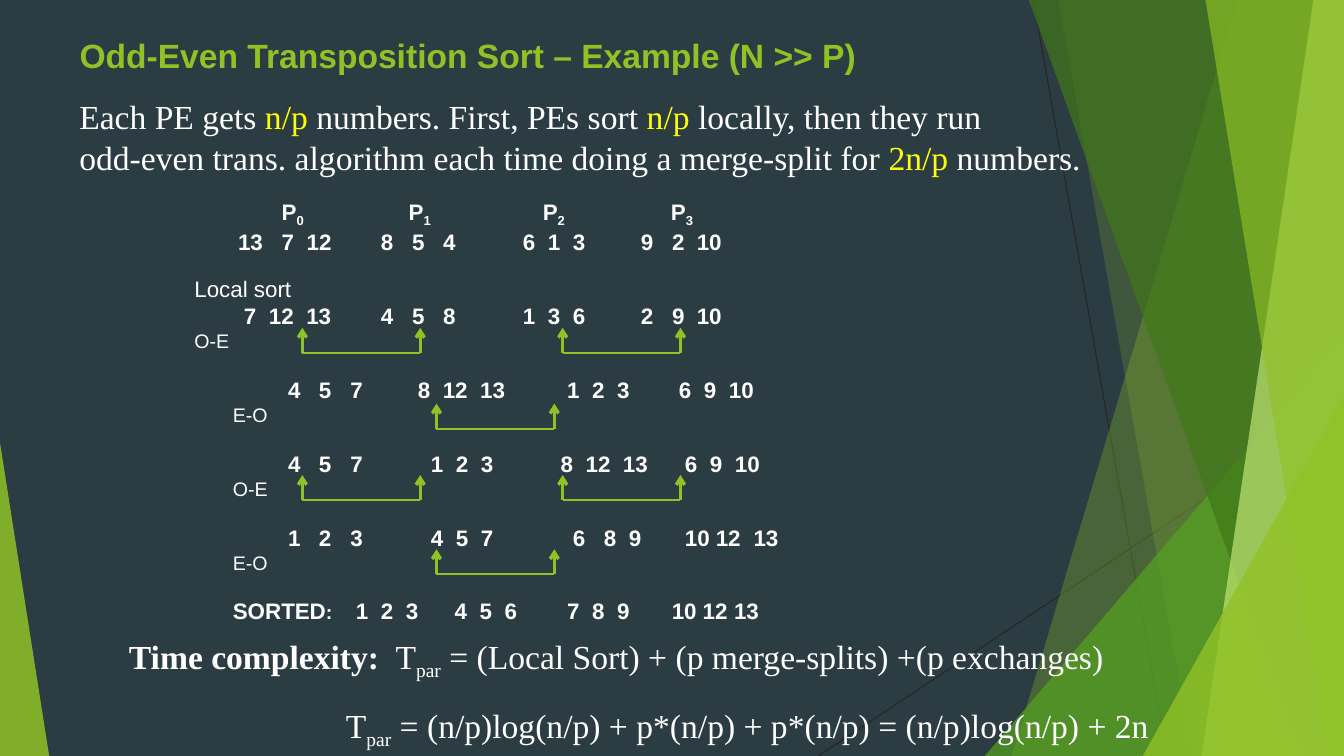
from dataclasses import dataclass

from lxml.etree import SubElement
from pptx import Presentation
from pptx.dml.color import RGBColor
from pptx.enum.shapes import MSO_CONNECTOR, MSO_SHAPE
from pptx.enum.text import MSO_ANCHOR, PP_ALIGN
from pptx.oxml.ns import qn
from pptx.util import Cm, Pt

WIDE, HIGH = 33.87, 19.05
DIGIT, SPACE = 0.314, 0.157  # widths in 16 pt bold text
INK = {"back": "2C3C43", "lime": "90C226", "green": "54A021", "dark": "3F7819",
       "pale": "C0E474", "thin": "262626", "white": "FFFFFF", "yellow": "FFFF00"}


@dataclass
class Run:
    text: str
    size: float = 16
    bold: bool = False
    ink: str = "white"
    font: str = "Arial"
    sub: bool = False


@dataclass
class Line:
    runs: list[Run]
    stops: tuple[float, ...] = ()
    before: float = 0


@dataclass
class Group:
    """Three sorted or unsorted numbers, with the spaces between them."""
    left: float
    text: str
    gaps: tuple[int, int] = (2, 2)


@dataclass
class Blade:
    """A sloping band that runs to the right edge."""
    top: float
    foot: float
    ink: str
    alpha: int


@dataclass
class Peak:
    left: float
    top: float
    wide: float
    lean: float
    ink: str
    alpha: int


def paint(shape, ink: str, alpha: int) -> None:
    shape.shadow.inherit = False
    shape.line.fill.background()
    shape.fill.solid()
    shape.fill.fore_color.rgb = RGBColor.from_string(INK[ink])
    color = shape.element.spPr.find(qn("a:solidFill"))[0]
    SubElement(color, qn("a:alpha"), val=str(alpha * 1000))


def draw_blade(shapes, blade: Blade) -> None:
    form = shapes.build_freeform(Cm(blade.top), 0)
    form.add_line_segments([(Cm(WIDE), 0), (Cm(WIDE), Cm(HIGH)), (Cm(blade.foot), Cm(HIGH))])
    paint(form.convert_to_shape(), blade.ink, blade.alpha)


def draw_peak(shapes, peak: Peak) -> None:
    shape = shapes.add_shape(MSO_SHAPE.ISOSCELES_TRIANGLE, Cm(peak.left), Cm(peak.top),
                             Cm(peak.wide), Cm(HIGH - peak.top))
    shape.adjustments[0] = peak.lean
    paint(shape, peak.ink, peak.alpha)


def draw_line(shapes, start: tuple[float, float], end: tuple[float, float],
              ink: str, width: float, arrow: bool = False) -> None:
    line = shapes.add_connector(MSO_CONNECTOR.STRAIGHT, *map(Cm, start + end))
    line.line.color.rgb = RGBColor.from_string(INK[ink])
    line.line.width = Pt(width)
    props = line.element.spPr
    if arrow:
        SubElement(props.find(qn("a:ln")), qn("a:tailEnd"), type="arrow")
    SubElement(props, qn("a:effectLst"))


def draw_swap(shapes, left: float, foot: float) -> None:
    """Bracket with two arrows that joins a pair of processors."""
    right = left + 2.97
    for x in (left, right):
        draw_line(shapes, (x, foot), (x, foot - 0.63), "lime", 2.25, True)
    draw_line(shapes, (right, foot), (left, foot), "lime", 1.5)


def add_run(para, item: Run) -> None:
    run = para.add_run()
    run.text = item.text
    run.font.name = item.font
    run.font.size = Pt(item.size)
    run.font.bold = item.bold
    run.font.color.rgb = RGBColor.from_string(INK[item.ink])
    if item.sub:
        run._r.get_or_add_rPr().set("baseline", "-25000")


def fill_text(frame, lines: list[Line]) -> None:
    frame.word_wrap = True
    frame.vertical_anchor = MSO_ANCHOR.TOP
    for i, line in enumerate(lines):
        para = frame.add_paragraph() if i else frame.paragraphs[0]
        para.alignment = PP_ALIGN.LEFT
        para.space_before = Pt(line.before)
        for item in line.runs:
            add_run(para, item)
        if line.stops:
            tabs = SubElement(para._p.get_or_add_pPr(), qn("a:tabLst"))
            for stop in line.stops:
                SubElement(tabs, qn("a:tab"), pos=str(int(Cm(stop))), algn="l")


def add_text(shapes, left: float, top: float, wide: float, high: float,
             lines: list[Line]) -> None:
    box = shapes.add_textbox(Cm(left), Cm(top), Cm(wide), Cm(high))
    fill_text(box.text_frame, lines)


def row(groups: list[Group], before: float = 16.7) -> Line:
    """One line of numbers, each number at its own tab stop."""
    words, stops = [], []
    for group in groups:
        x = group.left
        for word, gap in zip(group.text.split(), (*group.gaps, 0)):
            words.append(word)
            stops.append(round(x, 2))
            x += len(word) * DIGIT + gap * SPACE
    return Line([Run("\t" + "\t".join(words), bold=True)], tuple(stops), before)


def phase(name: str) -> Line:
    return Line([Run("\t" + name, 14)], (0.97,))


def serif(text: str, ink: str = "white", bold: bool = False, sub: bool = False) -> Run:
    return Run(text, 24, bold, ink, "Times New Roman", sub)


def main() -> None:
    deck = Presentation()
    deck.slide_width, deck.slide_height = Cm(WIDE), Cm(HIGH)
    slide = deck.slides.add_slide(deck.slide_layouts[5])
    slide.background.fill.solid()
    slide.background.fill.fore_color.rgb = RGBColor.from_string(INK["back"])
    shapes = slide.shapes

    title = shapes.title
    title.left, title.top, title.width, title.height = Cm(1.75), Cm(0.75), Cm(24.16), Cm(2.3)
    fill_text(title.text_frame, [Line([Run("Odd-Even Transposition Sort – Example (N >> P)",
                                           24, True, "lime")])])

    draw_line(shapes, (26.04, 0), (29.41, HIGH), "thin", 0.75)
    draw_line(shapes, (WIDE, 10.24), (20.62, HIGH), "thin", 0.75)
    for blade in (Blade(31.19, 25.5, "lime", 30), Blade(26.67, 30.05, "lime", 20)):
        draw_blade(shapes, blade)
    draw_peak(shapes, Peak(24.82, 8.46, 9.05, 1, "green", 72))
    for blade in (Blade(25.93, 32.79, "dark", 70), Blade(33.1, 30.28, "pale", 70),
                  Blade(30.38, 33.48, "lime", 65)):
        draw_blade(shapes, blade)
    draw_peak(shapes, Peak(28.8, 9.98, 5.07, 1, "lime", 80))
    draw_peak(shapes, Peak(0, 11.15, 1.24, 0, "lime", 85))

    heads = [run for i in range(4)
             for run in (Run("\tP", bold=True), Run(str(i), bold=True, sub=True))]
    done = row([Group(4.07, "1 2 3"), Group(6.56, "4 5 6"), Group(9.39, "7 8 9"),
                Group(12.03, "10 12 13", (1, 1))])
    done.runs[:0] = [Run("\tSORTED", bold=True), Run(":", 14, True)]
    done.stops = (0.97, *done.stops)
    add_text(shapes, 4.65, 4.86, 15.67, 11.2, [
        Line(heads, (2.2, 5.4, 8.78, 12.01)),
        row([Group(1.1, "13 7 12", (3, 2)), Group(4.7, "8 5 4", (3, 3)),
             Group(8.28, "6 1 3"), Group(11.25, "9 2 10", (3, 2))], 0),
        Line([Run("Local sort")], before=14.5),
        row([Group(1.25, "7 12 13"), Group(4.7, "4 5 8", (3, 3)),
             Group(8.28, "1 3 6"), Group(11.25, "2 9 10", (3, 2))], 0),
        Line([Run("O-E", 14)]),
        row([Group(2.36, "4 5 7", (3, 3)), Group(5.63, "8 12 13"),
             Group(9.39, "1 2 3"), Group(12.21, "6 9 10")]),
        phase("E-O"),
        row([Group(2.36, "4 5 7", (3, 3)), Group(5.96, "1 2 3"),
             Group(9.23, "8 12 13"), Group(12.36, "6 9 10")]),
        phase("O-E"),
        row([Group(2.36, "1 2 3", (3, 3)), Group(5.96, "4 5 7"),
             Group(9.54, "6 8 9", (3, 2)), Group(12.36, "10 12 13", (1, 2))]),
        phase("E-O"),
        done])

    for foot, lefts in ((8.89, (7.62, 14.18)), (10.8, (11,)),
                        (12.6, (7.62, 14.18)), (14.47, (11,))):
        for left in lefts:
            draw_swap(shapes, left, foot)

    add_text(shapes, 1.75, 2.3, 32, 2.31, [
        Line([serif("Each PE gets "), serif("n/p", "yellow"),
              serif(" numbers. First, PEs sort "), serif("n/p", "yellow"),
              serif(" locally, then they run")]),
        Line([serif("odd-even trans. algorithm each time doing a merge-split for "),
              serif("2n/p", "yellow"), serif(" numbers.")])])
    add_text(shapes, 3, 15.9, 30.28, 2.9, [
        Line([serif("Time complexity:", bold=True), serif("\tT"), serif("par", sub=True),
              serif(" = (Local Sort) + (p merge-splits) +(p exchanges)")], (6.72,)),
        Line([serif("\tT"), serif("par", sub=True),
              serif(" = (n/p)log(n/p) + p*(n/p) + p*(n/p) = (n/p)log(n/p) + 2n")],
             (5.47,), 16.5)])
    deck.save("out.pptx")


if __name__ == "__main__":
    main()
